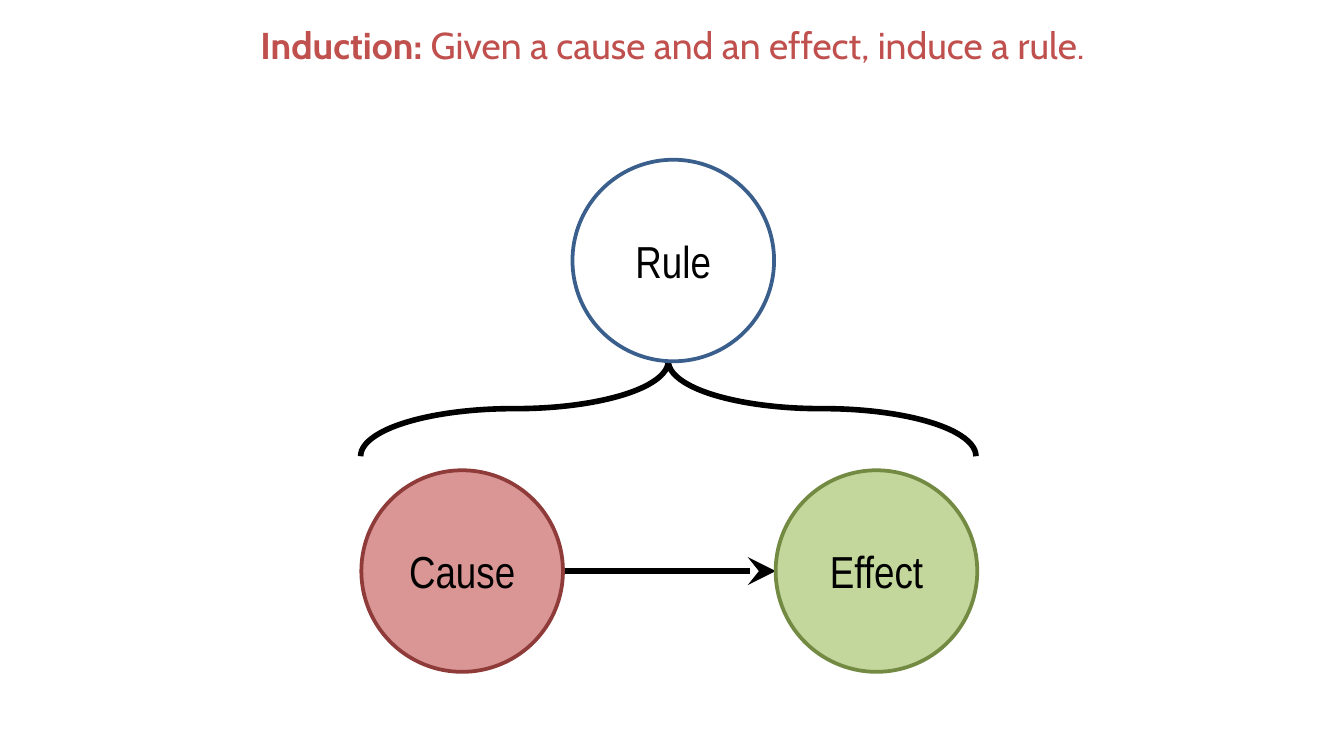
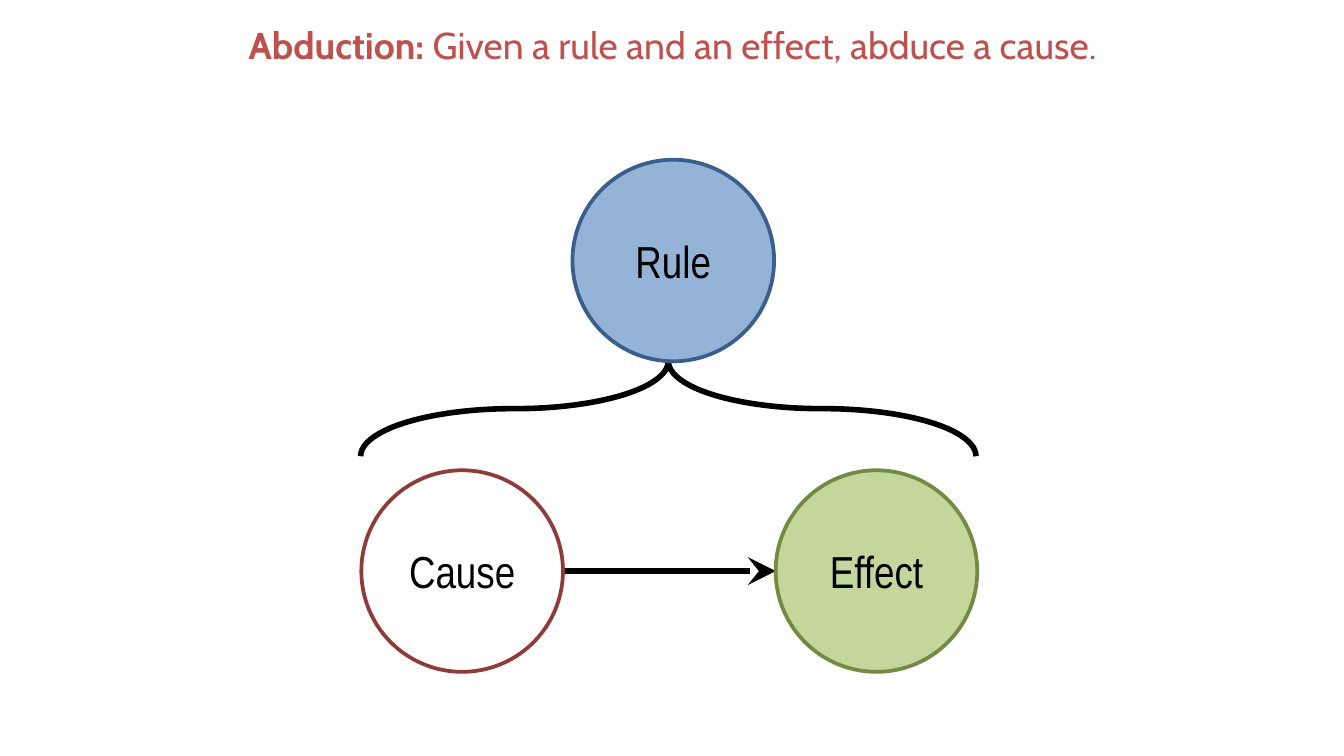
"""Build two slides that contrast induction and abduction."""
from dataclasses import dataclass

from lxml import etree
from pptx import Presentation
from pptx.dml.color import RGBColor as RGB
from pptx.enum.shapes import MSO_CONNECTOR as Cxn, MSO_SHAPE as Shp
from pptx.enum.text import MSO_ANCHOR as Anchor, MSO_AUTO_SIZE as AutoSize, PP_ALIGN as Align
from pptx.oxml.ns import qn
from pptx.presentation import Presentation as Deck
from pptx.slide import Slide
from pptx.text.text import TextFrame
from pptx.util import Cm, Pt


@dataclass(frozen=True)
class Theme:
    title_font: str = "Cabin"
    label_font: str = "Arial Narrow"
    title_size: int = 20
    label_size: int = 24
    outline: int = 2
    stroke: int = 3
    title: str = "C0504D"
    ink: str = "000000"
    blank: str = "FFFFFF"
    blue: str = "95B3D7"
    red: str = "D99694"
    green: str = "C3D69B"


@dataclass(frozen=True)
class Node:
    label: str
    left: float
    top: float
    line: str


@dataclass(frozen=True)
class Inference:
    name: str
    meaning: str
    fills: tuple[str | None, str | None, str | None]


THEME = Theme()
DIAMETER = 3.81
RULE = Node("Rule", 10.82, 3.02, "3A5F8C")
CAUSE = Node("Cause", 6.83, 8.89, "8E3B39")
EFFECT = Node("Effect", 14.66, 8.89, "738A42")
NODES = (RULE, CAUSE, EFFECT)
INFERENCES = (
    Inference("Induction: ", "Given a cause and an effect, induce a rule.",
              (THEME.blank, THEME.red, THEME.green)),
    Inference("Abduction: ", "Given a rule and an effect, abduce a cause.",
              (THEME.blue, None, THEME.green)),
)


def add_run(tf: TextFrame, text: str, font: str, size: int, color: str, bold: bool = False) -> None:
    """Append a formatted run to the centred first paragraph."""
    p = tf.paragraphs[0]
    p.alignment = Align.CENTER
    r = p.add_run()
    r.text = text
    r.font.name = font
    r.font.size = Pt(size)
    r.font.bold = bold
    r.font.color.rgb = RGB.from_string(color)


def add_title(s: Slide, inference: Inference) -> None:
    """Fill and place the title placeholder."""
    sp = s.shapes.title
    sp.left, sp.top, sp.width, sp.height = Cm(1.3), Cm(0.3), Cm(22.83), Cm(1.12)
    tf = sp.text_frame
    tf.word_wrap = True
    tf.auto_size = AutoSize.SHAPE_TO_FIT_TEXT
    tf.vertical_anchor = Anchor.TOP
    for text, bold in ((inference.name, True), (inference.meaning, False)):
        add_run(tf, text, THEME.title_font, THEME.title_size, THEME.title, bold)


def add_arrow(s: Slide) -> None:
    """Draw the arrow from cause to effect."""
    y = Cm(CAUSE.top + DIAMETER / 2)
    cxn = s.shapes.add_connector(Cxn.STRAIGHT, Cm(CAUSE.left + DIAMETER), y, Cm(EFFECT.left), y)
    cxn.line.color.rgb = RGB.from_string(THEME.ink)
    cxn.line.width = Pt(THEME.stroke)
    etree.SubElement(cxn.line._get_or_add_ln(), qn("a:tailEnd"), type="stealth", w="lg", len="lg")
    etree.SubElement(cxn._element.spPr, qn("a:effectLst"))


def add_brace(s: Slide) -> None:
    """Draw the brace that joins cause and effect to the rule."""
    sp = s.shapes.add_shape(Shp.LEFT_BRACE, Cm(11.73), Cm(1.91), Cm(1.8), Cm(11.63))
    sp.rotation = 90
    sp.adjustments[0] = 1.6
    sp.adjustments[1] = 0.5
    sp.shadow.inherit = False
    sp.fill.background()
    sp.line.color.rgb = RGB.from_string(THEME.ink)
    sp.line.width = Pt(THEME.stroke)


def add_node(s: Slide, node: Node, fill: str | None) -> None:
    """Draw a labelled circle, hollow when it has no fill."""
    sp = s.shapes.add_shape(Shp.OVAL, Cm(node.left), Cm(node.top), Cm(DIAMETER), Cm(DIAMETER))
    sp.shadow.inherit = False
    if fill is None:
        sp.fill.background()
    else:
        sp.fill.solid()
        sp.fill.fore_color.rgb = RGB.from_string(fill)
    sp.line.color.rgb = RGB.from_string(node.line)
    sp.line.width = Pt(THEME.outline)
    tf = sp.text_frame
    tf.vertical_anchor = Anchor.MIDDLE
    add_run(tf, node.label, THEME.label_font, THEME.label_size, THEME.ink)


def add_slide(prs: Deck, inference: Inference) -> None:
    """Add one inference slide."""
    s = prs.slides.add_slide(prs.slide_layouts.get_by_name("Title Only"))
    add_title(s, inference)
    add_arrow(s)
    add_brace(s)
    for node, fill in zip(NODES, inference.fills):
        add_node(s, node, fill)


def main() -> None:
    """Build and save the deck."""
    prs = Presentation()
    prs.slide_width, prs.slide_height = Cm(25.4), Cm(14.29)
    for inference in INFERENCES:
        add_slide(prs, inference)
    prs.save("out.pptx")


if __name__ == "__main__":
    main()
